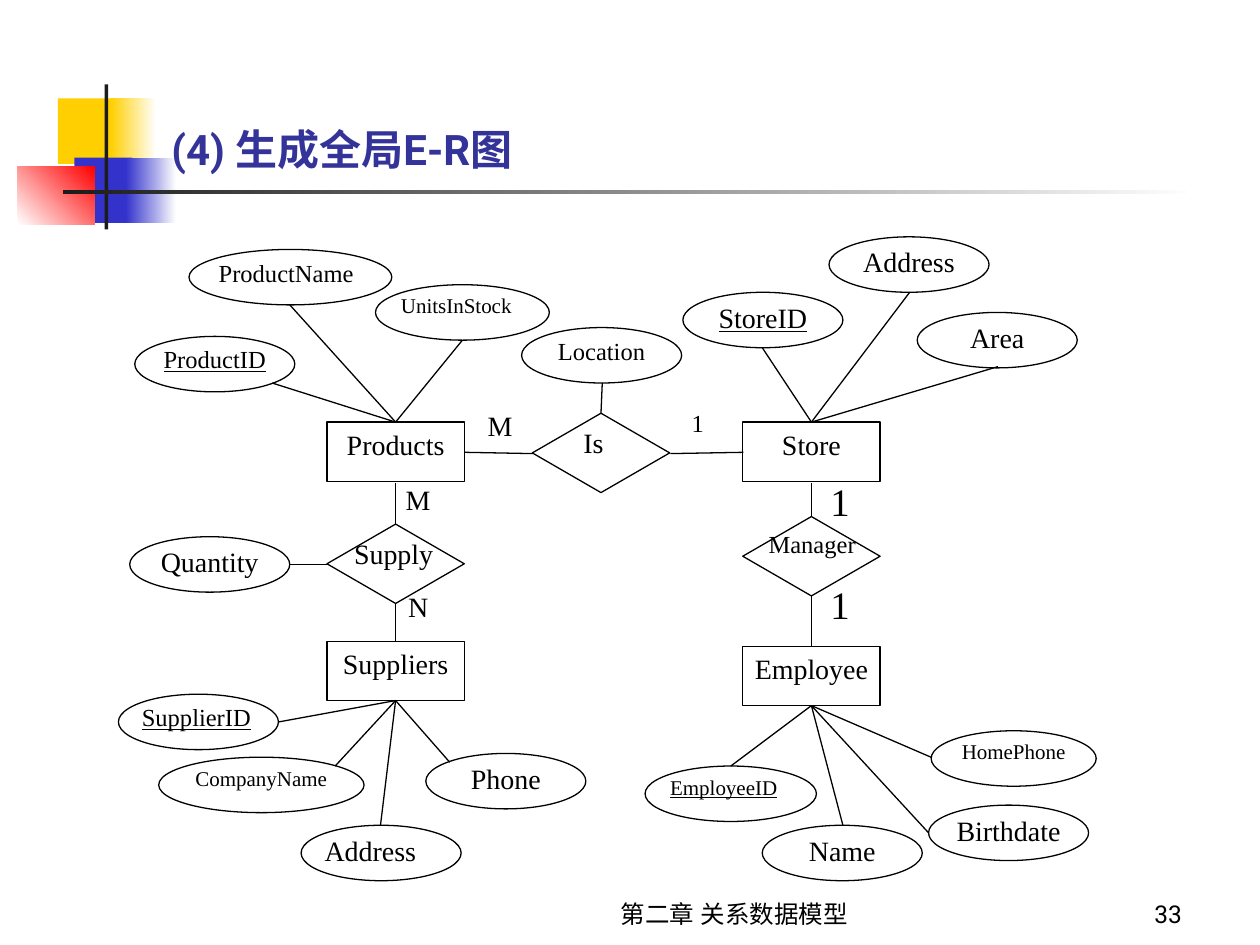
from lxml import etree
from pptx import Presentation
from pptx import util as u
from pptx.dml.color import RGBColor
from pptx.enum import shapes, text
from pptx.oxml.ns import qn

SERIF, SANS = "Times New Roman", "Roboto"
BLACK, WHITE, YELLOW, BLUE = "000000", "FFFFFF", "FFCF01", "3333CC"
LEFT, CENTER, RIGHT = text.PP_ALIGN.LEFT, text.PP_ALIGN.CENTER, text.PP_ALIGN.RIGHT
JUSTIFY = text.PP_ALIGN.JUSTIFY
TOP, BOTTOM = text.MSO_ANCHOR.TOP, text.MSO_ANCHOR.BOTTOM
KIND = shapes.MSO_SHAPE
NODE_W, ENTITY_H, DIAMOND_H = 1.09, 0.47, 0.63
OVAL_W, OVAL_H = 1.27, 0.44
PRODUCT_X, STORE_X = 3.14, 6.44  # centre lines of the two columns

ENTITIES = [  # name, centre x, top
    ("Products", PRODUCT_X, 3.35), ("Store", STORE_X, 3.35),
    ("Suppliers", PRODUCT_X, 5.09), ("Employee", STORE_X, 5.13),
]
RELATIONSHIPS = [  # name, centre x, top, label left, label width, size
    ("Supply", PRODUCT_X, 4.16, 2.72, 0.93, 16),
    ("Is", 4.77, 3.28, 4.54, 0.44, 16),
    ("Manager", STORE_X, 4.10, 6.01, 0.93, 14),
]
ATTRIBUTES = [  # name, left, top, width, size, alignment, is key
    ("ProductID", 1.07, 2.67, OVAL_W, 14, CENTER, True),
    ("ProductName", 1.5, 1.98, 1.61, 14, JUSTIFY, False),
    ("UnitsInStock", 2.98, 2.26, 1.38, 12, JUSTIFY, False),
    ("StoreID", 5.42, 2.32, OVAL_W, 16, CENTER, True),
    ("Address", 6.58, 1.88, OVAL_W, 16, CENTER, False),
    ("Area", 7.28, 2.48, OVAL_W, 16, CENTER, False),
    ("SupplierID", 0.94, 5.51, OVAL_W, 14, JUSTIFY, True),
    ("CompanyName", 1.26, 6.01, 1.63, 12, CENTER, False),
    ("Address", 2.39, 6.55, OVAL_W, 16, JUSTIFY, False),
    ("Phone", 3.38, 5.98, OVAL_W, 16, CENTER, False),
    ("Name", 6.05, 6.55, OVAL_W, 16, CENTER, False),
    ("HomePhone", 7.39, 5.8, 1.31, 12, CENTER, False),
    ("EmployeeID", 5.12, 6.08, 1.36, 12, JUSTIFY, True),
    ("Birthdate", 7.37, 6.39, OVAL_W, 16, CENTER, False),
    ("Quantity", 1.03, 4.26, OVAL_W, 16, CENTER, False),
    ("Location", 4.14, 2.6, OVAL_W, 14, CENTER, False),
]
LINKS = [  # start point, end points
    ((PRODUCT_X, 3.35), [(2.16, 3.04), (2.3, 2.42), (3.67, 2.7)]),
    ((STORE_X, 3.35), [(6.05, 2.76), (7.22, 2.32), (7.92, 2.91)]),
    ((PRODUCT_X, 5.56), [(2.21, 5.73), (2.66, 6.08), (3.02, 6.55), (3.57, 6.05)]),
    ((STORE_X, 5.6), [(5.8, 6.08), (6.69, 6.55), (7.37, 6.61), (7.39, 6.01)]),
    ((PRODUCT_X, 3.83), [(PRODUCT_X, 4.16)]),
    ((PRODUCT_X, 4.79), [(PRODUCT_X, 5.09)]),
    ((STORE_X, 3.83), [(STORE_X, 4.1)]),
    ((STORE_X, 4.73), [(STORE_X, 5.13)]),
    ((3.69, 3.59), [(4.23, 3.6)]),
    ((5.32, 3.6), [(5.9, 3.59)]),
    ((2.3, 4.48), [(2.6, 4.48)]),
    ((4.78, 3.04), [(4.77, 3.28)]),
]
CARDINALITIES = [  # mark, left, top, size, line spacing
    ("M", 3.78, 3.2, 16, None), ("1", 5.4, 3.2, 14, None),
    ("M", 3.13, 3.79, 16, None), ("N", 3.15, 4.64, 16, None),
    ("1", 6.5, 3.79, 22.2, 0.9), ("1", 6.5, 4.61, 22.2, 0.9),
]
DECORATIONS = [  # left, top, width, height, colours, angle
    (0.46, 0.78, 0.48, 0.52, [YELLOW], 0),
    (0.88, 0.78, 0.36, 0.52, [YELLOW, WHITE], 0),
    (0.59, 1.25, 0.46, 0.52, [BLUE], 0),
    (1, 1.25, 0.4, 0.52, [BLUE, WHITE], 0),
    (0.14, 1.32, 0.61, 0.46, [WHITE, "FF0000"], 45),
    (0.83, 0.67, 0.03, 1.15, ["1C1C1C"], 0),
    (0.5, 1.51, 9, 0.03, ["1C1C1C", WHITE], 0),
]


def color(value):
    return RGBColor.from_string(value)


def inches(*values):
    return [u.Inches(value) for value in values]


def write(shape, words, size=16, font=SERIF, ink=BLACK, bold=False, underline=False,
          align=CENTER, anchor=TOP, insets=(0.09, 0.04), spacing=None):
    frame = shape.text_frame
    frame.auto_size = text.MSO_AUTO_SIZE.NONE
    frame.word_wrap = True
    frame.vertical_anchor = anchor
    side, edge = inches(*insets)
    frame.margin_left = frame.margin_right = side
    frame.margin_top = frame.margin_bottom = edge
    para = frame.paragraphs[0]
    para.alignment = align
    if spacing:
        para.line_spacing = spacing
    span = para.add_run()
    span.text = words
    span.font.size = u.Pt(size)
    span.font.bold = bold
    span.font.underline = underline
    span.font.color.rgb = color(ink)
    span.font.name = font
    etree.SubElement(span._r.get_or_add_rPr(), qn("a:ea"), typeface=font)


def add_label(slide, words, place, **style):
    write(slide.shapes.add_textbox(*inches(*place)), words, **style)


def add_node(slide, kind, place):
    node = slide.shapes.add_shape(kind, *inches(*place))
    node.shadow.inherit = False
    node.fill.solid()
    node.fill.fore_color.rgb = color(WHITE)
    node.line.color.rgb = color(BLACK)
    node.line.width = u.Pt(0.75)
    return node


def add_link(slide, start, end):
    link = slide.shapes.add_connector(shapes.MSO_CONNECTOR.STRAIGHT, *inches(*start, *end))
    link.line.color.rgb = color(BLACK)
    link.line.width = u.Pt(0.75)
    etree.SubElement(link.element.spPr, qn("a:effectLst"))


def add_decoration(slide, place, colors, angle):
    """Add a borderless block, plain for one colour and graded for two."""
    block = slide.shapes.add_shape(KIND.RECTANGLE, *inches(*place))
    block.shadow.inherit = False
    block.line.fill.background()
    if len(colors) == 1:
        block.fill.solid()
        block.fill.fore_color.rgb = color(colors[0])
        return
    block.fill.gradient()
    block.fill.gradient_angle = angle
    for stop, value in zip(block.fill.gradient_stops, colors):
        stop.color.rgb = color(value)


def set_title(slide, words):
    """Fill the title and bring it in front of the decorations."""
    title = slide.shapes.title
    title.left, title.top, title.width, title.height = inches(1.26, 0.42, 4.14, 1.01)
    write(title, words, size=24, font=SANS, ink="333399", bold=True,
          align=LEFT, anchor=BOTTOM, insets=(0.1, 0.05))
    title.element.getparent().append(title.element)


def add_diagram(slide):
    for name, center, top in ENTITIES:
        place = (center - NODE_W / 2, top, NODE_W, ENTITY_H)
        write(add_node(slide, KIND.RECTANGLE, place), name, insets=(0.04, 0.04))
    for name, center, top, left, width, size in RELATIONSHIPS:
        place = (center - NODE_W / 2, top, NODE_W, DIAMOND_H)
        add_node(slide, KIND.FLOWCHART_DECISION, place)
        add_label(slide, name, (left, top + 0.06, width, 0.47), size=size, align=JUSTIFY)
    for name, left, top, width, size, align, is_key in ATTRIBUTES:
        oval = add_node(slide, KIND.OVAL, (left, top, width, OVAL_H))
        write(oval, name, size=size, align=align, underline=is_key, insets=(0, 0))
    for start, ends in LINKS:
        for end in ends:
            add_link(slide, start, end)
    for mark, left, top, size, spacing in CARDINALITIES:
        add_label(slide, mark, (left, top, 0.53, 0.47), size=size, align=JUSTIFY, spacing=spacing)


def main():
    deck = Presentation()
    deck.slide_width, deck.slide_height = inches(10, 7.5)
    page = deck.slides.add_slide(deck.slide_layouts[5])
    for *place, colors, angle in DECORATIONS:
        add_decoration(page, place, colors, angle)
    footer = dict(size=14, font=SANS, anchor=BOTTOM, insets=(0.1, 0.05))
    add_label(page, "第二章 关系数据模型", (3.83, 6.92, 4, 0.5), **footer)
    add_label(page, "33", (8.23, 6.92, 1.25, 0.5), align=RIGHT, **footer)
    set_title(page, "(4) 生成全局E-R图")
    add_diagram(page)
    deck.save("out.pptx")


if __name__ == "__main__":
    main()
